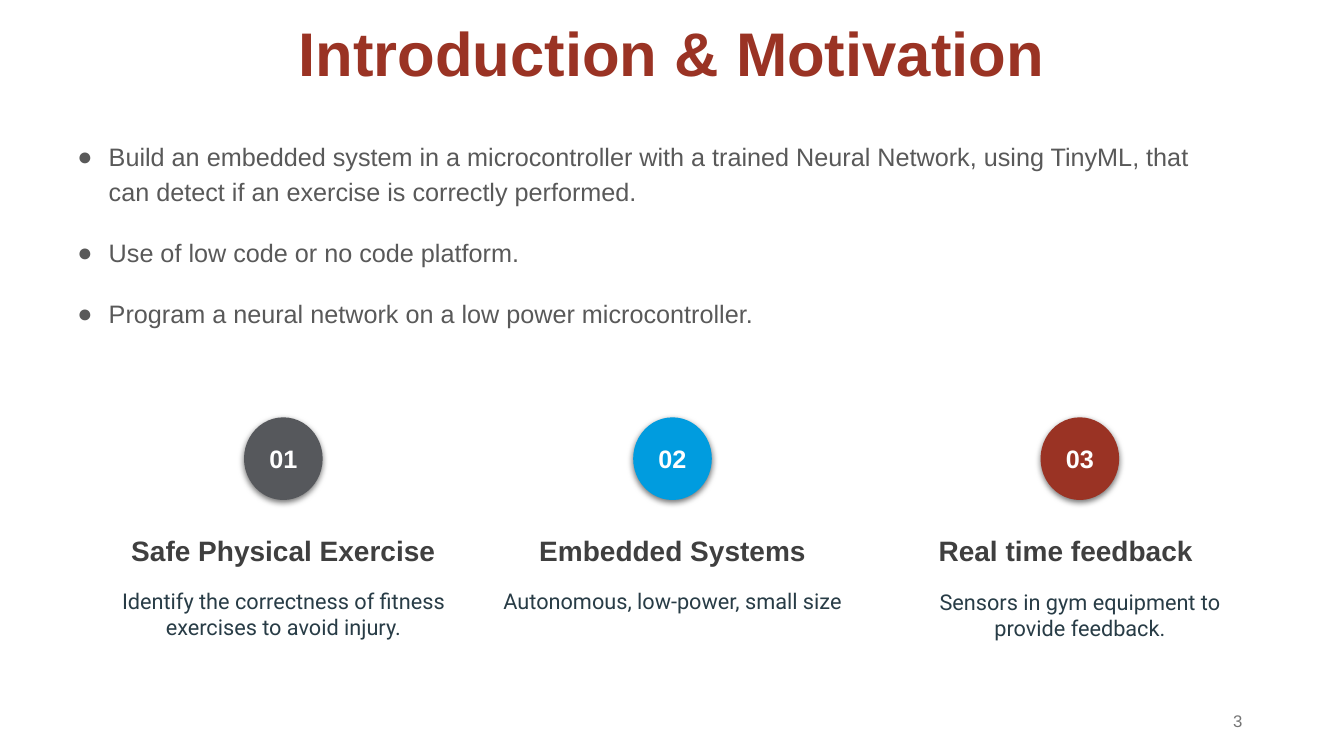
from dataclasses import dataclass
from lxml.etree import SubElement
from pptx import Presentation
from pptx.dml.color import RGBColor
from pptx.enum.shapes import MSO_SHAPE
from pptx.enum.text import MSO_ANCHOR, PP_ALIGN
from pptx.oxml.ns import qn
from pptx.shapes.autoshape import Shape
from pptx.slide import Slide
from pptx.text.text import TextFrame, _Paragraph
from pptx.util import Inches, Pt


@dataclass(frozen=True)
class Style:
    size: float
    color: str
    bold: bool = False
    font: str = "Arial"


@dataclass(frozen=True)
class Theme:
    title: Style = Style(44, "9A3324", True)
    bullet: Style = Style(18, "595959")
    badge: Style = Style(18, "FFFFFF", True)
    head: Style = Style(20, "3F3F3F", True)
    body: Style = Style(15.5, "283C46", font="Roboto")
    page: Style = Style(12, "757575")
    gray: str = "56585C"
    blue: str = "009CDF"
    red: str = "9A3324"
    shade: str = "000000"


@dataclass(frozen=True)
class Box:
    left: float
    top: float
    width: float
    height: float


@dataclass(frozen=True)
class Topic:
    mid: float
    fill: str
    head: str
    head_mid: float
    head_width: float
    body: str
    body_top: float
    body_width: float


THEME = Theme()
GOALS = [
    "Build an embedded system in a microcontroller with a trained Neural "
    "Network, using TinyML, that can detect if an exercise is correctly performed.",
    "Use of low code or no code platform.",
    "Program a neural network on a low power microcontroller.",
]
TOPICS = [
    Topic(2.81, THEME.gray, "Safe Physical Exercise", 2.81, 3.82,
          "Identify the correctness of fitness exercises to avoid injury.", 5.78, 4.02),
    Topic(6.67, THEME.blue, "Embedded Systems", 6.67, 2.99,
          "Autonomous, low-power, small size", 5.78, 4.02),
    Topic(10.71, THEME.red, "Real time feedback", 10.57, 4.33,
          "Sensors in gym equipment to provide feedback.", 5.79, 3.72),
]


def center(mid: float, top: float, width: float, height: float) -> Box:
    """Return a box centred on the vertical line at mid."""
    return Box(mid - width / 2, top, width, height)


def place(box: Box) -> tuple[int, int, int, int]:
    """Return the box in the order that python-pptx takes it."""
    return Inches(box.left), Inches(box.top), Inches(box.width), Inches(box.height)


def write(para: _Paragraph, text: str, style: Style, align: PP_ALIGN) -> None:
    para.alignment = align
    run = para.add_run()
    run.text = text
    font = run.font
    font.name, font.size, font.bold = style.font, Pt(style.size), style.bold
    font.color.rgb = RGBColor.from_string(style.color)


def add_frame(slide: Slide, box: Box, anchor: MSO_ANCHOR = MSO_ANCHOR.TOP) -> TextFrame:
    frame = slide.shapes.add_textbox(*place(box)).text_frame
    frame.word_wrap = True
    frame.vertical_anchor = anchor
    return frame


def add_label(slide: Slide, box: Box, text: str, style: Style,
              align: PP_ALIGN = PP_ALIGN.CENTER,
              anchor: MSO_ANCHOR = MSO_ANCHOR.TOP) -> _Paragraph:
    para = add_frame(slide, box, anchor).paragraphs[0]
    write(para, text, style, align)
    return para


def add_dot(para: _Paragraph, color: str) -> None:
    """Give the paragraph a round bullet with a hanging indent."""
    props = para._p.get_or_add_pPr()
    props.set("marL", str(Inches(0.31)))
    props.set("indent", str(-Inches(0.31)))
    tint = SubElement(props, qn("a:buClr"))
    SubElement(tint, qn("a:srgbClr"), val=color)
    SubElement(props, qn("a:buFont"), typeface="Arial")
    SubElement(props, qn("a:buChar"), char="●")


def add_goals(slide: Slide) -> None:
    frame = add_frame(slide, Box(0.67, 1.31, 11.59, 2.12))
    for index, goal in enumerate(GOALS):
        para = frame.add_paragraph() if index else frame.paragraphs[0]
        write(para, goal, THEME.bullet, PP_ALIGN.LEFT)
        para.line_spacing = 1.0 if index else 1.15
        para.space_before = Pt(22 if index else 0)
        add_dot(para, THEME.bullet.color)


def add_shade(shape: Shape) -> None:
    """Put a soft shadow just below the shape."""
    shape.shadow.inherit = False
    effects = shape._element.spPr.find(qn("a:effectLst"))
    shade = SubElement(effects, qn("a:outerShdw"), blurRad=str(Pt(4.5)),
                       dist=str(Pt(1.5)), dir="5400000", algn="ctr", rotWithShape="0")
    tint = SubElement(shade, qn("a:srgbClr"), val=THEME.shade)
    SubElement(tint, qn("a:alpha"), val="54000")


def add_badge(slide: Slide, box: Box, text: str, fill: str) -> None:
    badge = slide.shapes.add_shape(MSO_SHAPE.OVAL, *place(box))
    badge.fill.solid()
    badge.fill.fore_color.rgb = RGBColor.from_string(fill)
    badge.line.fill.background()
    add_shade(badge)
    frame = badge.text_frame
    frame.margin_left = frame.margin_right = 0
    frame.vertical_anchor = MSO_ANCHOR.MIDDLE
    write(frame.paragraphs[0], text, THEME.badge, PP_ALIGN.CENTER)


def add_topic(slide: Slide, number: int, topic: Topic) -> None:
    add_badge(slide, center(topic.mid, 4.14, 0.78, 0.82), f"{number:02}", topic.fill)
    add_label(slide, center(topic.head_mid, 5.24, topic.head_width, 0.44),
              topic.head, THEME.head)
    add_label(slide, center(topic.mid, topic.body_top, topic.body_width, 0.91),
              topic.body, THEME.body)


def main() -> None:
    deck = Presentation()
    deck.slide_width, deck.slide_height = Inches(13.33), Inches(7.5)
    slide = deck.slides.add_slide(deck.slide_layouts[6])
    title = add_label(slide, Box(0, 0, 13.33, 1.12), "Introduction & Motivation",
                      THEME.title, anchor=MSO_ANCHOR.MIDDLE)
    title.line_spacing = 0.9
    add_goals(slide)
    for number, topic in enumerate(TOPICS, 1):
        add_topic(slide, number, topic)
    add_label(slide, Box(9.42, 6.95, 3, 0.4), "3", THEME.page,
              PP_ALIGN.RIGHT, MSO_ANCHOR.MIDDLE)
    deck.save("out.pptx")


if __name__ == "__main__":
    main()
